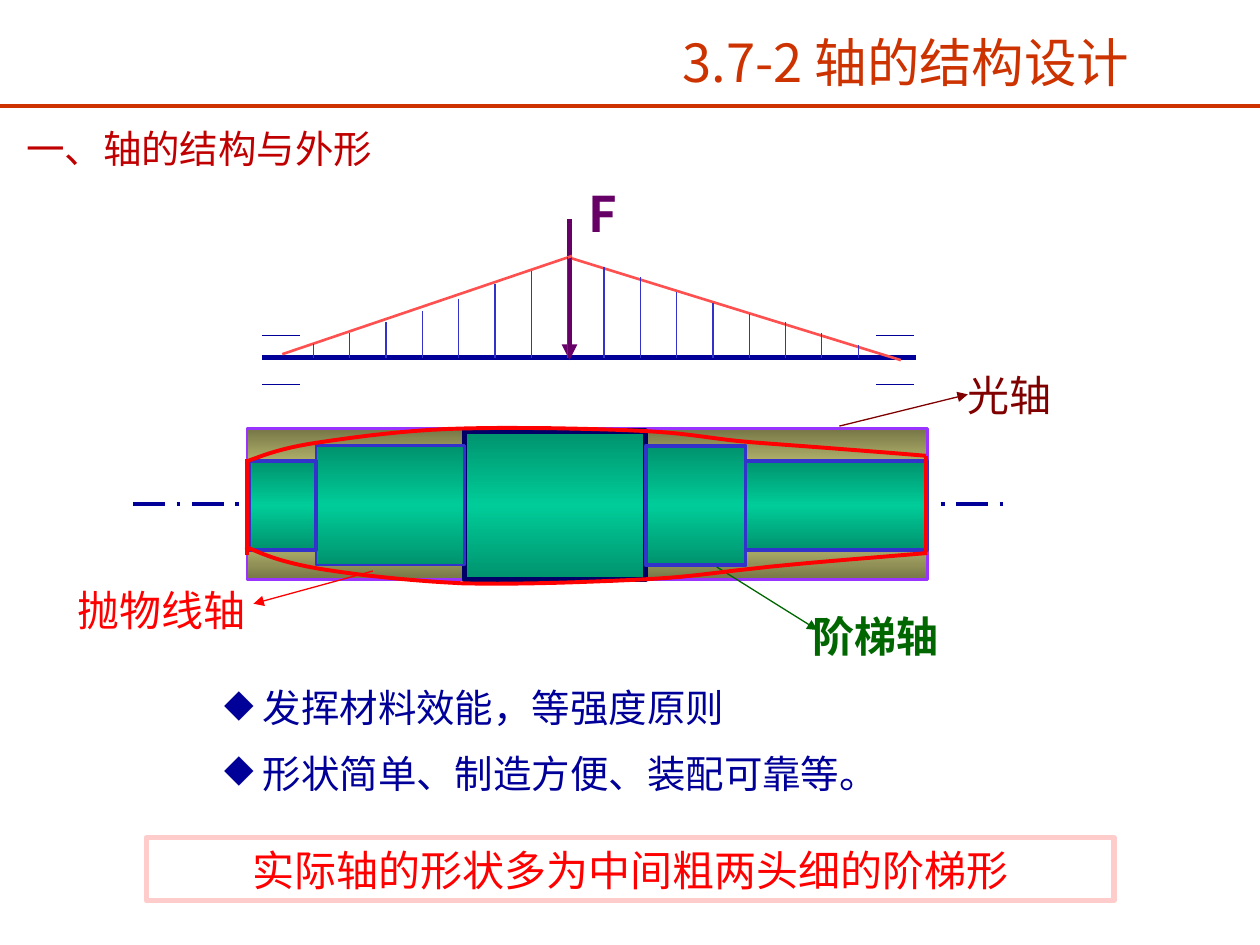
from copy import deepcopy
from pptx import Presentation
from pptx.dml.color import RGBColor
from pptx.enum.dml import MSO_LINE
from pptx.enum.shapes import MSO_CONNECTOR, MSO_SHAPE
from pptx.enum.text import MSO_ANCHOR, MSO_AUTO_SIZE, PP_ALIGN
from pptx.oxml.ns import qn
from pptx.oxml.xmlchemy import OxmlElement
from pptx.util import Cm, Pt

THEME = {
    "sans": "Noto Sans CJK SC", "serif": "Times New Roman",
    "title": 30, "force": 28, "label": 24, "body": 22,
    "rust": "CC3300", "head": "C00000", "navy": "000099", "deep": "000066",
    "blue": "3333CC", "plum": "660066", "violet": "9933FF", "red": "FF0000",
    "coral": "FF5050", "pink": "FFCCCC", "brown": "800000", "green": "006600",
    "olive": ("767647", "FFFF99", "767647"),
    "jade": ("00926D", "00CC99", "00926D"),
}

PLAIN = (4.98, 8.64, 13.72, 3.05)
MID, LEFT = 10.19, 5.03
STEPS = [
    (1.34, 1.8, "blue", 2.25), (2.99, 2.41, "blue", 1.5),
    (3.66, 3, "deep", 3), (2.01, 2.41, "blue", 2.25),
    (3.66, 1.8, "blue", 2.25),
]
ORDER = (2, 3, 4, 1, 0)

CURVES = [
    [(4.98, 9.3), (5.33, 9.17), (5.72, 9.02), (6.43, 8.92),
     (7.16, 8.81), (8.26, 8.66), (9.32, 8.64),
     (10.41, 8.61), (12.01, 8.64), (12.98, 8.69),
     (13.97, 8.74), (14.25, 8.84), (15.19, 8.92),
     (16.15, 8.99), (18.11, 9.14), (18.67, 9.19)],
    [(4.95, 11.02), (5.31, 11.18), (5.66, 11.33), (6.4, 11.46),
     (7.11, 11.58), (8.23, 11.71), (9.32, 11.76),
     (10.41, 11.79), (12.01, 11.73), (12.98, 11.68),
     (13.97, 11.63), (14.25, 11.56), (15.21, 11.46),
     (16.15, 11.35), (18.14, 11.2), (18.69, 11.15)],
]
ENDS = [(4.98, 9.25, 11.18), (18.67, 9.19, 11.13)]

LABELS = [
    ("光轴", (19.25, 7.32, 2.62, 1.27), "brown", False, (16.92, 8.59, 19.51, 7.95)),
    ("抛物线轴", (1.32, 11.66, 4.04, 1.27), "red", False, (7.52, 11.51, 5.11, 12.17)),
    ("阶梯轴", (16.13, 12.19, 4.39, 1.27), "green", True, (14.45, 11.43, 16.48, 12.7)),
]

BASE = 7.21
TOPS = [6.93, 6.71, 6.5, 6.27, 6.02, 5.72, 5.46, 5.18,
        5.38, 5.59, 5.89, 6.1, 6.32, 6.5, 6.71, 6.96]
FIRST, LAST = 6.32, 17.3
SLOPES = [(5.69, 7.14, 11.53, 5.16), (11.53, 5.21, 18.16, 7.26)]

POINTS = ["发挥材料效能，等强度原则", "形状简单、制造方便、装配可靠等。"]
CLAIM = "实际轴的形状多为中间粗两头细的阶梯形"
HEAD = "一、轴的结构与外形"
TITLE = "3.7-2 轴的结构设计"


def hue(name):
    return RGBColor.from_string(THEME.get(name, name))


def pen(line, color, width):
    line.color.rgb = hue(color)
    line.width = Pt(width)


def draw(slide, ends, color, width, arrow=False, dash=None):
    link = slide.shapes.add_connector(MSO_CONNECTOR.STRAIGHT, *map(Cm, ends))
    pen(link.line, color, width)
    if dash:
        link.line.dash_style = dash
    if arrow:
        tail = OxmlElement("a:tailEnd")
        tail.set("type", "triangle")
        link.line._get_or_add_ln().append(tail)
    link._element.spPr.append(OxmlElement("a:effectLst"))


def block(slide, box, color, width, shades=None):
    shape = slide.shapes.add_shape(MSO_SHAPE.RECTANGLE, *map(Cm, box))
    shape.shadow.inherit = False
    pen(shape.line, color, width)
    if not shades:
        shape.fill.background()
        return shape
    shape.fill.gradient()
    shape.fill.gradient_angle = 90
    stops = shape._element.spPr.find(qn("a:gradFill")).find(qn("a:gsLst"))
    stops.append(deepcopy(stops[0]))
    for i, (stop, tone) in enumerate(zip(shape.fill.gradient_stops, THEME[shades])):
        stop.position = i / 2
        stop.color.rgb = hue(tone)
    return shape


def write(frame, lines, size, color, face="sans", bold=False, mark=None, wrap=True):
    frame.word_wrap = wrap
    frame.auto_size = MSO_AUTO_SIZE.SHAPE_TO_FIT_TEXT
    for i, line in enumerate(lines):
        para = frame.add_paragraph() if i else frame.paragraphs[0]
        if mark:
            props = para._p.get_or_add_pPr()
            props.set("marL", str(Cm(0.78)))
            props.set("indent", str(-Cm(0.78)))
            dot = OxmlElement("a:buChar")
            dot.set("char", mark)
            props.append(dot)
        if i:
            para.space_before = Pt(THEME[size] / 2)
        run = para.add_run()
        run.text = line
        font = run.font
        font.size = Pt(THEME[size])
        font.bold = bold
        font.color.rgb = hue(color)
        font.name = THEME[face]
        east = OxmlElement("a:ea")
        east.set("typeface", THEME["sans"])
        font._element.append(east)


def text(slide, box, *args, **more):
    write(slide.shapes.add_textbox(*map(Cm, box)).text_frame, *args, **more)


def trace(slide, knots, parts=10):
    spots = []
    for k in range(0, len(knots) - 1, 3):
        for n in range(1, parts + 1):
            t = n / parts
            u = 1 - t
            mix = (u ** 3, 3 * u * u * t, 3 * u * t * t, t ** 3)
            spots.append(tuple(
                Cm(sum(m * p[a] for m, p in zip(mix, knots[k:k + 4])))
                for a in (0, 1)))
    path = slide.shapes.build_freeform(*map(Cm, knots[0]))
    path.add_line_segments(spots, close=False)
    shape = path.convert_to_shape()
    shape.shadow.inherit = False
    shape.fill.background()
    pen(shape.line, "red", 2.25)


def shaft(slide):
    block(slide, PLAIN, "violet", 1.5, "olive")
    draw(slide, (2.69, 10.16, 20.32, 10.16), "navy", 2.25, dash=MSO_LINE.LONG_DASH_DOT)
    for i in ORDER:
        wide, high, color, width = STEPS[i]
        left = LEFT + sum(step[0] for step in STEPS[:i])
        block(slide, (left, MID - high / 2, wide, high), color, width, "jade")
    for words, box, color, bold, ends in LABELS:
        draw(slide, ends, color, 0.75, arrow=True)
        text(slide, box, [words], "label", color, face="serif", bold=bold)
    for knots in CURVES:
        trace(slide, knots)
    for x, top, low in ENDS:
        draw(slide, (x, top, x, low), "red", 2.25)


def load(slide):
    draw(slide, (5.28, BASE, 18.47, BASE), "navy", 3)
    for x in (5.28, 17.66):
        for y in (6.76, 7.75):
            draw(slide, (x, y, x + 0.77, y), "navy", 0.75)
    draw(slide, (11.48, 4.42, 11.48, 7.26), "plum", 3, arrow=True)
    text(slide, (11.61, 3.58, 1.02, 1.45), ["F"], "force", "plum", bold=True, wrap=False)
    for ends in SLOPES:
        draw(slide, ends, "coral", 1.5)
    gap = (LAST - FIRST) / (len(TOPS) - 1)
    for i, top in enumerate(TOPS):
        x = FIRST + i * gap
        draw(slide, (x, top, x, BASE), "blue", 0.75)


def main():
    deck = Presentation()
    deck.slide_width, deck.slide_height = Cm(25.4), Cm(19.05)
    slide = deck.slides.add_slide(deck.slide_layouts[6])
    shaft(slide)
    load(slide)
    text(slide, (4.27, 13.67, 18.42, 2.62), POINTS, "body", "navy", mark="◆")
    claim = block(slide, (2.95, 16.89, 19.51, 1.27), "pink", 3)
    write(claim.text_frame, [CLAIM], "label", "red")
    claim.text_frame.vertical_anchor = MSO_ANCHOR.MIDDLE
    claim.text_frame.paragraphs[0].alignment = PP_ALIGN.CENTER
    text(slide, (0.28, 2.39, 11.81, 1.19), [HEAD], "body", "head")
    text(slide, (13.51, 0.48, 11.81, 1.52), [TITLE], "title", "rust")
    draw(slide, (0, 2.13, 25.4, 2.13), "rust", 2.25)
    deck.save("out.pptx")


if __name__ == "__main__":
    main()
